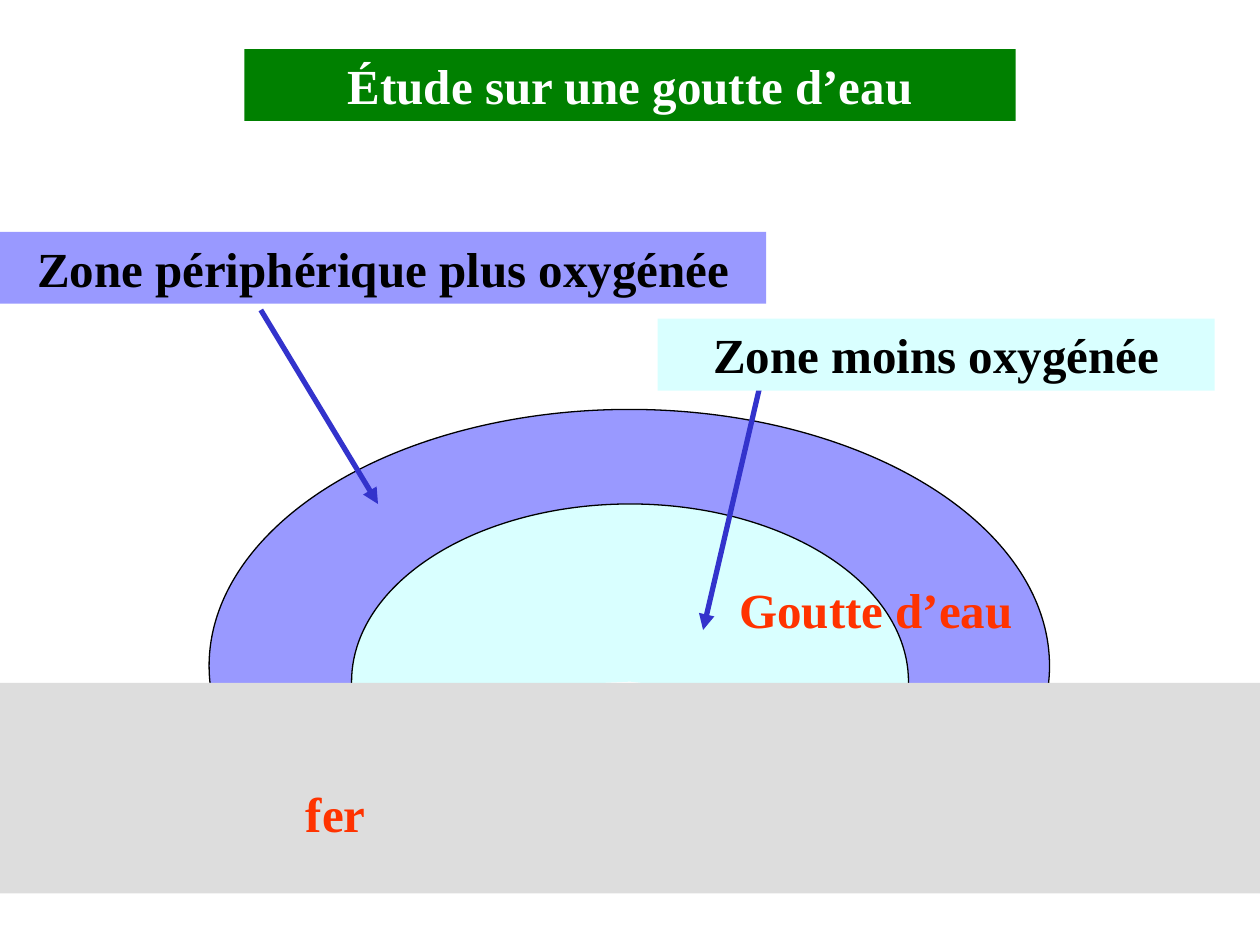
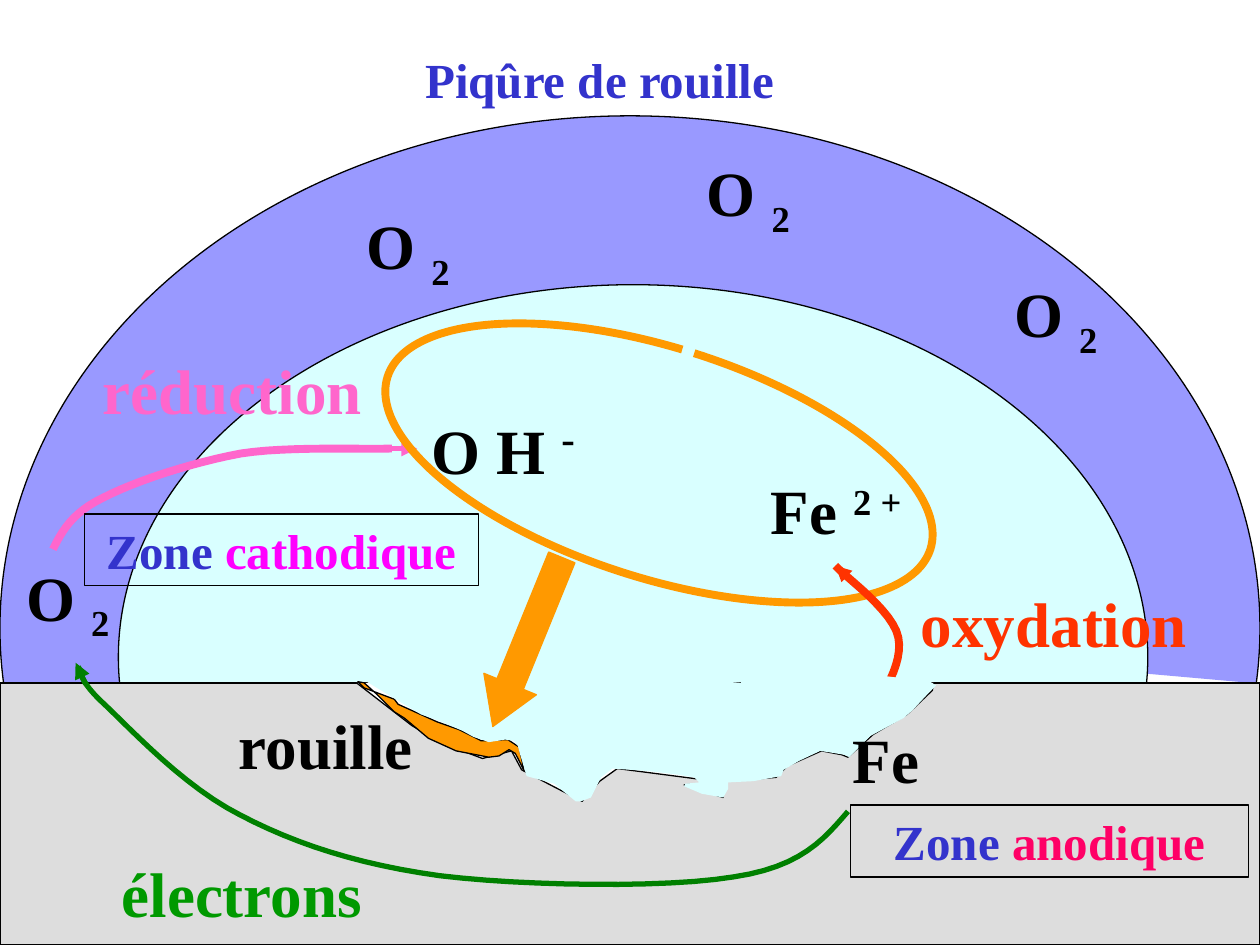
from lxml import etree
from pptx import Presentation
from pptx.dml.color import RGBColor
from pptx.enum import shapes, text
from pptx.oxml import ns
from pptx.util import Inches, Pt

FONT = "Times New Roman"
BLACK = RGBColor(0x00, 0x00, 0x00)
WHITE = RGBColor(0xFF, 0xFF, 0xFF)
OXYGEN_RICH = RGBColor(0x99, 0x99, 0xFF)
OXYGEN_POOR = RGBColor(0xD9, 0xFF, 0xFF)
IRON_GREY = RGBColor(0xDD, 0xDD, 0xDD)
BLUE = RGBColor(0x33, 0x33, 0xCC)
RED = RGBColor(0xFF, 0x33, 0x00)
BANNER_GREEN = RGBColor(0x00, 0x80, 0x00)
ELECTRON_GREEN = RGBColor(0x00, 0x99, 0x00)
PINK = RGBColor(0xFF, 0x66, 0xCC)
RUST = RGBColor(0xFF, 0x99, 0x00)
CATHODE = RGBColor(0xFF, 0x00, 0xFF)
ANODE = RGBColor(0xFF, 0x00, 0x66)

IRON_TOP = 5.42
LABEL_HEIGHT = 0.57
SUBSCRIPT, SUPERSCRIPT = -25000, 30000
LEFT, CENTER = text.PP_ALIGN.LEFT, text.PP_ALIGN.CENTER

# Outlines of the corroded pit, as (x, y) in inches
PIT_WALL = [
    (2.83, 5.42), (3.27, 5.76), (3.51, 5.9), (3.83, 6.02), (4.06, 5.96),
    (4.14, 6.11), (4.33, 6.21), (4.62, 6.36), (4.76, 6.2), (4.9, 6.1),
    (5.67, 6.2), (5.74, 6.33), (5.43, 6.23), (6.16, 6.17), (6.25, 6.08),
    (6.52, 5.96), (6.68, 5.99), (6.73, 6.01), (6.93, 5.83), (7.2, 5.67),
    (7.4, 5.48), (7.41, 5.42)]
RUST_LAYER = [
    (2.84, 5.41), (2.89, 5.42), (2.99, 5.51), (3.08, 5.6), (3.13, 5.65),
    (3.21, 5.7), (3.4, 5.86), (3.62, 5.96), (3.88, 6.01), (3.96, 6),
    (4.04, 5.95), (4.09, 5.98), (4.16, 6.12), (4.12, 5.93), (4.03, 5.87),
    (3.82, 5.88), (3.64, 5.79), (3.47, 5.73), (3.16, 5.59), (3.13, 5.55),
    (2.89, 5.46)]
PIT_WATER = [
    (4.08, 5.88), (4.11, 5.92), (4.12, 5.96), (4.18, 6.16), (4.29, 6.19),
    (4.4, 6.22), (4.47, 6.28), (4.57, 6.36), (4.61, 6.36), (4.69, 6.33),
    (4.77, 6.17), (4.86, 6.1), (5.15, 6.12), (5.39, 6.15), (5.51, 6.17),
    (5.55, 6.21), (5.44, 6.22), (5.43, 6.24), (5.57, 6.3), (5.74, 6.33),
    (5.78, 6.26), (5.78, 6.21), (5.98, 6.2), (6.2, 6.16), (6.22, 6.11),
    (6.34, 6.04), (6.51, 5.96), (6.7, 5.99), (6.74, 6.01), (6.91, 5.84),
    (7.17, 5.7), (7.24, 5.64), (7.38, 5.49), (7.43, 5.44), (7.38, 5.41),
    (6.65, 5.32), (5.9, 5.38), (5.88, 5.42), (5.4, 5.38), (5.2, 5.39),
    (4.86, 5.41), (4.48, 5.38), (3.59, 5.37), (2.81, 5.35), (3.34, 5.67),
    (3.48, 5.72), (3.67, 5.8), (3.76, 5.85), (3.88, 5.89), (3.95, 5.88),
    (4.01, 5.87)]

# Bezier paths: a start point, then two controls and an end per segment
ELECTRON_PATH = [
    (6.73, 6.44), (6.54, 6.66), (6.36, 6.88), (5.82, 6.96),
    (5.28, 7.05), (4.14, 7.03), (3.49, 6.95),
    (2.84, 6.86), (2.35, 6.7), (1.91, 6.47),
    (1.47, 6.25), (1.05, 5.8), (0.84, 5.6),
    (0.62, 5.4), (0.65, 5.34), (0.62, 5.29)]
REDUCTION_PATH = [
    (0.42, 4.36), (0.49, 4.22), (0.57, 4.07), (0.82, 3.95),
    (1.07, 3.82), (1.53, 3.67), (1.91, 3.6),
    (2.29, 3.54), (2.91, 3.57), (3.11, 3.56)]
OXIDATION_PATH = [
    (6.85, 5.75), (7.01, 5.51), (7.17, 5.27), (7.13, 5.06),
    (7.09, 4.85), (6.71, 4.58), (6.63, 4.49)]


def paint(shape, fill=None, line=None, width=0.75):
    shape.shadow.inherit = False
    if fill is None:
        shape.fill.background()
    else:
        shape.fill.solid()
        shape.fill.fore_color.rgb = fill
    if line is None:
        shape.line.fill.background()
    else:
        shape.line.color.rgb = line
        shape.line.width = Pt(width)


def write(shape, parts, size, align=LEFT):
    """Fill a shape with one line of (text, colour, baseline, size) parts."""
    frame = shape.text_frame
    frame.word_wrap = True
    frame.auto_size = text.MSO_AUTO_SIZE.NONE
    frame.vertical_anchor = text.MSO_ANCHOR.TOP
    line = frame.paragraphs[0]
    line.alignment = align
    for words, color, baseline, own_size in parts:
        run = line.add_run()
        run.text = words
        run.font.name = FONT
        run.font.size = Pt(own_size or size)
        run.font.bold = True
        run.font.color.rgb = color
        if baseline:
            run.font._element.set("baseline", str(baseline))


def part(words, color=BLACK, baseline=0, size=None):
    return words, color, baseline, size


def add_title(slide, words, left, top, width, color, fill=None):
    title = slide.shapes.title
    title.left, title.top = Inches(left), Inches(top)
    title.width, title.height = Inches(width), Inches(LABEL_HEIGHT)
    if fill is not None:
        title.fill.solid()
        title.fill.fore_color.rgb = fill
    write(title, [part(words, color)], 28, CENTER)


def add_label(slide, parts, left, top, width, height=0.7, size=36, align=CENTER):
    box = slide.shapes.add_textbox(
        Inches(left), Inches(top), Inches(width), Inches(height))
    write(box, parts, size, align)


def add_block(slide, left, top, width, height, fill=None, line=None,
              kind=shapes.MSO_SHAPE.RECTANGLE):
    block = slide.shapes.add_shape(
        kind, Inches(left), Inches(top), Inches(width), Inches(height))
    paint(block, fill, line)
    return block


def add_zone(slide, parts, left, top, width, fill=None, line=None):
    zone = add_block(slide, left, top, width, LABEL_HEIGHT, fill, line)
    write(zone, parts, 28, CENTER)


def add_arc(slide, left, top, width, height, start, end,
            fill=None, line=BLACK, line_width=0.75):
    """Draw an elliptical arc clockwise between two angles in degrees."""
    arc = add_block(slide, left, top, width, height, kind=shapes.MSO_SHAPE.ARC)
    arc.adjustments[0], arc.adjustments[1] = start * 0.6, end * 0.6
    paint(arc, fill, line, line_width)
    return arc


def add_arrow(slide, begin, end, color):
    arrow = slide.shapes.add_connector(
        shapes.MSO_CONNECTOR.STRAIGHT,
        *(Inches(value) for value in (*begin, *end)))
    arrow.line.color.rgb = color
    arrow.line.width = Pt(3)
    etree.SubElement(arrow.line._get_or_add_ln(), ns.qn("a:tailEnd"),
                     type="triangle")
    etree.SubElement(arrow._element.spPr, ns.qn("a:effectLst"))


def add_outline(slide, points, close=True, **style):
    corners = [(Inches(x), Inches(y)) for x, y in points]
    builder = slide.shapes.build_freeform(*corners[0])
    builder.add_line_segments(corners[1:], close=close)
    paint(builder.convert_to_shape(), **style)


def bezier_points(path, steps=12):
    points = [path[0]]
    for i in range(0, len(path) - 1, 3):
        segment = path[i:i + 4]
        for step in range(1, steps + 1):
            t = step / steps
            weights = ((1 - t) ** 3, 3 * t * (1 - t) ** 2,
                       3 * t * t * (1 - t), t ** 3)
            points.append(tuple(
                sum(w * p[axis] for w, p in zip(weights, segment))
                for axis in (0, 1)))
    return points


def add_curve(slide, path, color, width):
    add_outline(slide, bezier_points(path), close=False, line=color, width=width)


def build_drop_study(slide):
    add_title(slide, "Étude sur une goutte d’eau", 1.94, 0.39, 6.12,
              WHITE, BANNER_GREEN)

    # Drop resting on the iron
    add_arc(slide, 1.66, 3.25, 6.67, 4.07, 174.7, 3.5, OXYGEN_RICH)
    add_arc(slide, 2.79, 4, 4.42, 2.82, 177.4, 6.1, OXYGEN_POOR)
    add_block(slide, 0, IRON_TOP, 10, 1.67, IRON_GREY)

    # Zones and their arrows
    add_arrow(slide, (2.07, 2.46), (3, 4), BLUE)
    add_arrow(slide, (6.06, 2.94), (5.58, 5), BLUE)
    add_zone(slide, [part("Zone périphérique plus oxygénée")],
             0, 1.84, 6.08, OXYGEN_RICH)
    add_zone(slide, [part("Zone moins oxygénée")], 5.22, 2.53, 4.42, OXYGEN_POOR)

    # Materials
    for words, left, top, width in (("Goutte d’eau", 5.77, 4.55, 2.67),
                                    ("fer", 2.33, 6.17, 2.92)):
        add_label(slide, [part(words, RED)], left, top, width,
                  LABEL_HEIGHT, 28, LEFT)


def build_rust_pit(slide):
    add_title(slide, "Piqûre de rouille", 2.06, 0.34, 5.4, BLUE)

    # Drop and iron
    add_block(slide, 2.53, 4.8, 5.29, 1.65, OXYGEN_POOR)
    add_arc(slide, 0, 0.92, 10, 8.13, 173, 5.05, OXYGEN_RICH)
    add_arc(slide, 0.94, 2.26, 8.17, 5.91, 174, 35, OXYGEN_POOR)
    add_block(slide, 0, IRON_TOP, 10, 2.08, IRON_GREY, BLACK)
    add_outline(slide, PIT_WALL, close=False, fill=WHITE, line=BLACK)

    # Electron flow, reduction and oxidation
    add_arrow(slide, (6.93, 4.77), (6.63, 4.49), RED)
    add_curve(slide, ELECTRON_PATH, BANNER_GREEN, 3)
    add_arrow(slide, (0.68, 5.43), (0.6, 5.26), BANNER_GREEN)
    add_curve(slide, REDUCTION_PATH, PINK, 4.5)
    add_arrow(slide, (2.55, 3.56), (3.31, 3.56), PINK)
    ion_loop = add_arc(slide, 2.97, 2.76, 4.52, 1.83, 270.2, 264,
                       line=RUST, line_width=4.5)
    ion_loop.rotation = 17.6
    add_curve(slide, OXIDATION_PATH, RED, 4.5)

    # Rust deposit in the pit
    add_outline(slide, RUST_LAYER, fill=RUST, line=BLACK)
    add_outline(slide, PIT_WATER, fill=OXYGEN_POOR)
    deposit = add_block(slide, 3.46, 4.87, 1.45, 0.45, RUST, RUST,
                        shapes.MSO_SHAPE.RIGHT_ARROW)
    deposit.adjustments[0], deposit.adjustments[1] = 0.5, 0.81
    deposit.rotation = 112.2

    # Chemical species
    for left, top in ((-0.14, 4.38), (2.56, 1.59), (5.26, 1.17), (7.7, 2.13)):
        add_label(slide, [part("O "), part("2", baseline=SUBSCRIPT)],
                  left, top, 1.36, 0.79)
    add_label(slide, [part("O H "), part("-", baseline=SUPERSCRIPT, size=40)],
              3.26, 3.16, 1.47, 0.77)
    add_label(slide, [part("Fe "), part("2 +", baseline=SUPERSCRIPT)],
              6.02, 3.69, 1.45, align=LEFT)
    add_label(slide, [part("Fe")], 6.67, 5.67, 1, align=LEFT)

    # Processes
    for words, color, left, top, width in (
            ("rouille", BLACK, 1.61, 5.56, 1.95),
            ("électrons", ELECTRON_GREEN, 0.42, 6.73, 3),
            ("oxydation", RED, 6.92, 4.59, 2.89),
            ("réduction", PINK, 0.4, 2.74, 2.89)):
        add_label(slide, [part(words, color)], left, top, width)

    # Electrode zones
    for words, color, left, top, width in (
            ("cathodique", CATHODE, 0.67, 4.08, 3.13),
            ("anodique", ANODE, 6.75, 6.39, 3.16)):
        add_zone(slide, [part("Zone ", BLUE), part(words, color)],
                 left, top, width, line=BLACK)


def main():
    deck = Presentation()
    deck.slide_width, deck.slide_height = Inches(10), Inches(7.5)
    title_only = deck.slide_layouts[5]
    for build in (build_drop_study, build_rust_pit):
        build(deck.slides.add_slide(title_only))
    deck.save("out.pptx")


if __name__ == "__main__":
    main()
